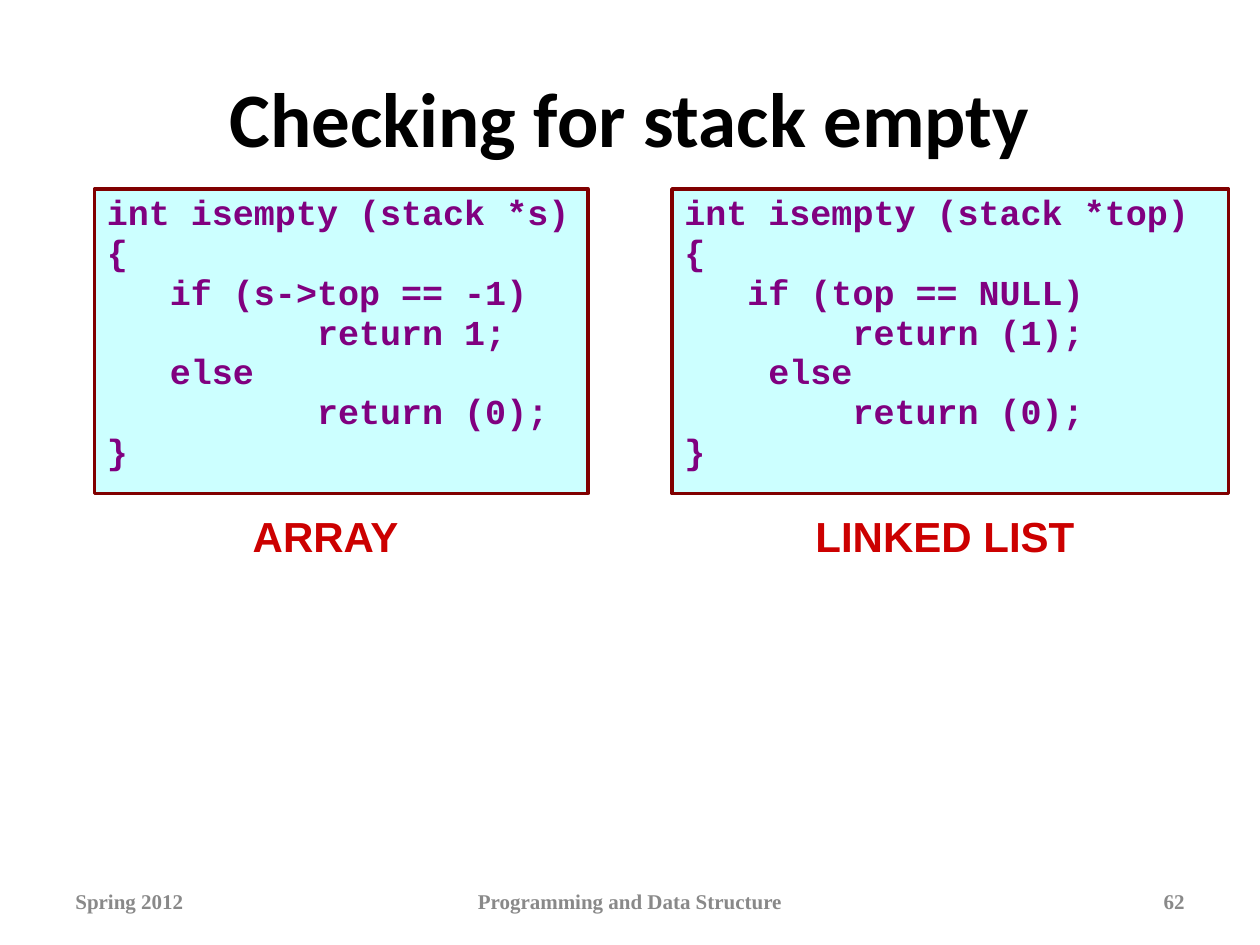
from pptx import Presentation
from pptx.dml.color import RGBColor
from pptx.enum.shapes import MSO_SHAPE as Shape
from pptx.enum.text import MSO_ANCHOR as Anchor, MSO_AUTO_SIZE as AutoSize, PP_ALIGN as Align
from pptx.util import Inches, Pt

COLORS = {
    "title": "000000",
    "panel": "CCFFFF",
    "border": "800000",
    "code": "800080",
    "caption": "CC0000",
    "footer": "898989",
}

deck = Presentation()
deck.slide_width, deck.slide_height = Inches(10), Inches(7.5)
COL, ROW = deck.slide_width / 120, deck.slide_height / 90
slide = deck.slides.add_slide(deck.slide_layouts[5])


def area(left, top, width, height):
    return round(left * COL), round(top * ROW), round(width * COL), round(height * ROW)


def write(frame, text, font, size, color, align):
    frame.word_wrap = True
    frame.text = text
    for paragraph in frame.paragraphs:
        paragraph.alignment = align
        for run in paragraph.runs:
            run.font.name, run.font.size, run.font.bold = font, Pt(size), True
            run.font.color.rgb = RGBColor.from_string(COLORS[color])


heading = slide.shapes.title
heading.left, heading.top, heading.width, heading.height = area(6, 3.6, 108, 15)
write(heading.text_frame, "Checking for stack empty", "Calibri", 44, "title", Align.CENTER)
heading.text_frame.vertical_anchor = Anchor.MIDDLE

array_code = """int isempty (stack *s)
{
   if (s->top == -1)
          return 1;
   else
          return (0);
}"""
list_code = """int isempty (stack *top)
{
   if (top == NULL)
        return (1);
    else
        return (0);
}"""

for code, left, width in [(array_code, 9, 47), (list_code, 64, 53)]:
    panel = slide.shapes.add_shape(Shape.RECTANGLE, *area(left, 18, width, 29))
    panel.shadow.inherit = False
    panel.fill.solid()
    panel.fill.fore_color.rgb = RGBColor.from_string(COLORS["panel"])
    panel.line.color.rgb = RGBColor.from_string(COLORS["border"])
    panel.line.width = Pt(2)
    write(panel.text_frame, code, "Courier New", 20, "code", Align.LEFT)
    panel.text_frame.vertical_anchor = Anchor.TOP
    for number, line in enumerate(panel.text_frame.paragraphs):
        line.line_spacing = 0.9
        line.space_before = Pt(1.2 if number else 0)

for label, left, width in [("ARRAY", 20, 22), ("LINKED LIST", 71, 38)]:
    caption = slide.shapes.add_textbox(*area(left, 48, width, 6)).text_frame
    write(caption, label, "Arial", 24, "caption", Align.CENTER)
    caption.auto_size = AutoSize.SHAPE_TO_FIT_TEXT

for note, left, width, align in [
    ("Spring 2012", 6, 28, Align.LEFT),
    ("Programming and Data Structure", 41, 38, Align.CENTER),
    ("62", 86, 28, Align.RIGHT),
]:
    footer = slide.shapes.add_textbox(*area(left, 83.4, width, 4.8)).text_frame
    write(footer, note, "Times New Roman", 12, "footer", align)
    footer.vertical_anchor = Anchor.MIDDLE

deck.save("out.pptx")
